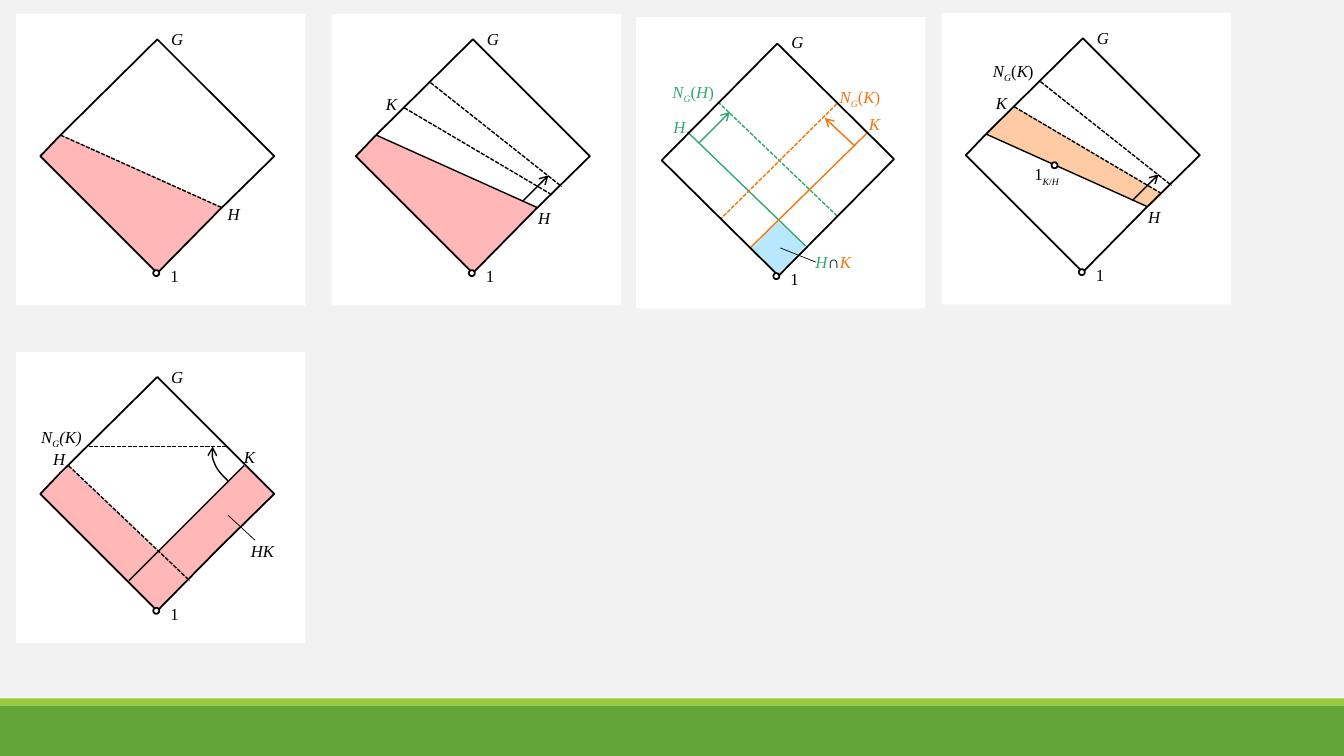
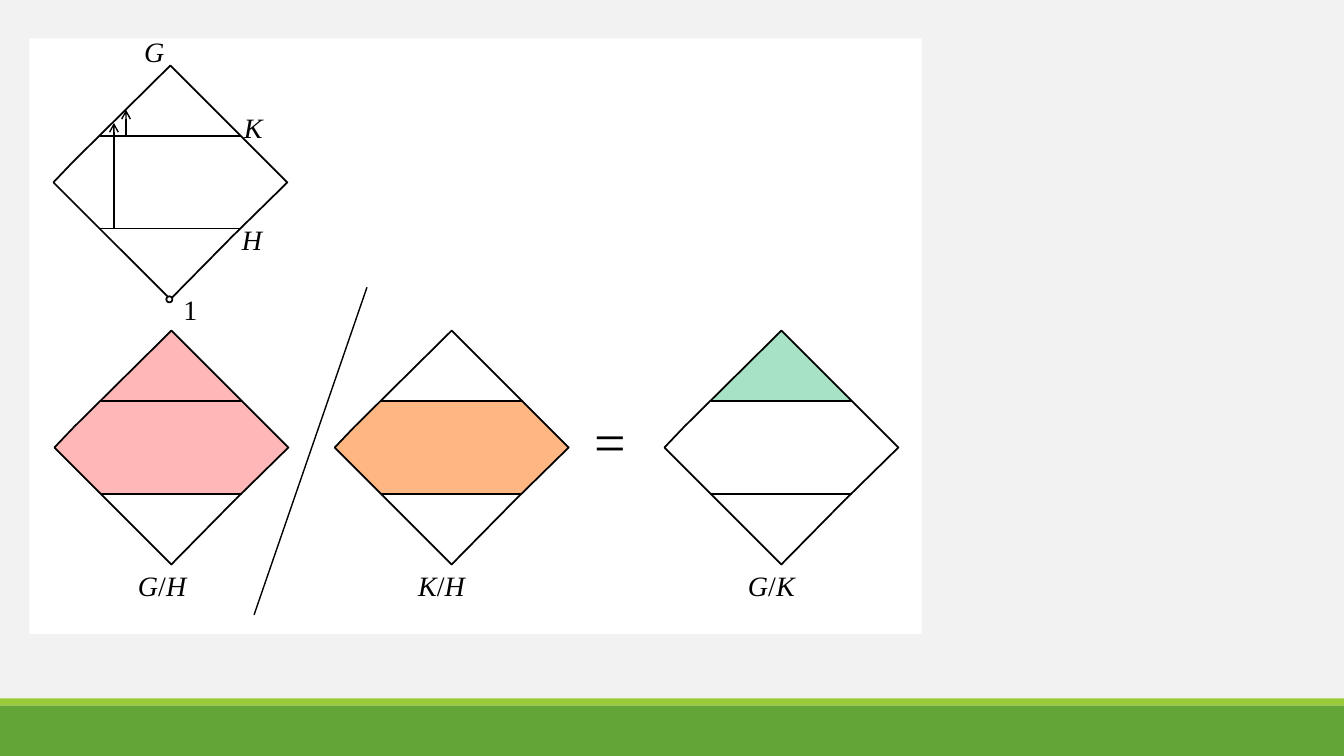
import lxml.etree
import pptx
import pptx.dml.color
import pptx.enum.dml
import pptx.enum.shapes
import pptx.enum.text
import pptx.oxml.ns
import pptx.util

BLACK, WHITE, BACKGROUND = "000000", "FFFFFF", "F2F2F2"
BAND, BAND_EDGE = "63A537", "99CB38"
GREEN, ORANGE = "37A76F", "F37711"
PINK, PEACH, APRICOT, SKY, MINT = "FFB7B7", "FECBA4", "FEB782", "B9E7FD", "A8E2C5"
FONT = "Times New Roman"

RADIUS = 1.16
TOP, RIGHT, BOTTOM, LEFT = (0, -RADIUS), (RADIUS, 0), (0, RADIUS), (-RADIUS, 0)
SPLIT_LEFT, SPLIT_RIGHT = (-0.96, -0.21), (0.64, 0.51)
LEVEL, HALF = 0.46, 0.7
UPPER_LEFT, UPPER_RIGHT = (-HALF, -LEVEL), (HALF, -LEVEL)
LOWER_LEFT, LOWER_RIGHT = (-HALF, LEVEL), (HALF, LEVEL)


def length(inches):
    """Turn inches into a length."""
    return pptx.util.Cm(inches * 2.54)


def paint(target, color):
    """Give a fill or line fill a solid colour, or none."""
    if color is None:
        target.background()
    else:
        target.solid()
        target.fore_color.rgb = pptx.dml.color.RGBColor.from_string(color)


def bezier(start, first, second, end, steps=8):
    """Return points along a cubic curve, without its start."""
    points = []
    for step in range(1, steps + 1):
        t = step / steps
        weights = ((1 - t) ** 3, 3 * t * (1 - t) ** 2, 3 * t * t * (1 - t), t ** 3)
        points.append(tuple(
            sum(weight * point[axis] for weight, point in zip(weights, (start, first, second, end)))
            for axis in (0, 1)))
    return points


class Sketch:
    """Draws lattice diagrams, measured from a movable centre."""

    def __init__(self):
        """Start the deck and set up its master."""
        self.deck = pptx.Presentation()
        self.deck.slide_width, self.deck.slide_height = length(13.33), length(7.5)
        paint(self.deck.slide_master.background.fill, BACKGROUND)
        self.new_page()
        self.master_band(7, 0.5, BAND, 20)
        self.master_band(6.93, 0.07, BAND_EDGE, 21)

    def new_page(self):
        """Add a blank page."""
        self.page = self.deck.slides.add_slide(self.deck.slide_layouts[6])
        self.move(0, 0)

    def move(self, x, y):
        """Set the centre of the next elements."""
        self.x, self.y = x, y

    def at(self, x, y):
        """Return the page position of a point near the centre."""
        return length(self.x + x), length(self.y + y)

    def master_band(self, top, height, color, number):
        """Put a footer band on the master."""
        band = self.block(0, top, 13.33, height, color)
        band.element.nvSpPr.cNvPr.set("id", str(number))
        self.deck.slide_master.shapes.element.insert(2, band.element)

    def stroke(self, shape, color, width, dashed=False, arrow=False):
        """Style an outline."""
        paint(shape.line.fill, color)
        if color is None:
            return
        shape.line.width = pptx.util.Pt(width)
        if dashed:
            shape.line.dash_style = pptx.enum.dml.MSO_LINE.SQUARE_DOT
        if arrow:
            outline = shape.element.spPr.find(pptx.oxml.ns.qn("a:ln"))
            lxml.etree.SubElement(outline, pptx.oxml.ns.qn("a:tailEnd"), type="arrow")

    def block(self, x, y, width, height, fill=None, line=None, kind="RECTANGLE"):
        """Add a preset shape."""
        shape = self.page.shapes.add_shape(
            getattr(pptx.enum.shapes.MSO_SHAPE, kind), *self.at(x, y), length(width), length(height))
        shape.shadow.inherit = False
        paint(shape.fill, fill)
        self.stroke(shape, line, 1.25)
        return shape

    def dot(self, x, y):
        """Add a small ring."""
        self.block(x, y, 0.06, 0.06, WHITE, BLACK, "OVAL")

    def outline(self, points, fill=None, line=None, width=1.25, close=False, arrow=False):
        """Add a freeform through the points."""
        places = [self.at(*point) for point in points]
        builder = self.page.shapes.build_freeform(*places[0])
        builder.add_line_segments(places[1:], close=close)
        shape = builder.convert_to_shape()
        shape.shadow.inherit = False
        paint(shape.fill, fill)
        self.stroke(shape, line, width, arrow=arrow)

    def region(self, fill, *points):
        """Add a filled area without outline."""
        self.outline(points, fill, close=True)

    def line(self, start, end, color=BLACK, width=1, dashed=False, arrow=False):
        """Add a straight line."""
        connector = self.page.shapes.add_connector(
            pptx.enum.shapes.MSO_CONNECTOR.STRAIGHT, *self.at(*start), *self.at(*end))
        self.stroke(connector, color, width, dashed, arrow)
        lxml.etree.SubElement(connector.element.spPr, pptx.oxml.ns.qn("a:effectLst"))

    def label(self, pieces, x, y, width=0.34, size=12, colors=(BLACK,)):
        """Add text: letters are italic, a leading _ marks a subscript."""
        box = self.page.shapes.add_textbox(
            *self.at(x, y), length(width), length(0.1 + size / 60))
        box.text_frame.word_wrap = False
        box.text_frame.auto_size = pptx.enum.text.MSO_AUTO_SIZE.SHAPE_TO_FIT_TEXT
        para = box.text_frame.paragraphs[0]
        for index, piece in enumerate(pieces):
            span = para.add_run()
            span.text = piece.lstrip("_")
            span.font.name = FONT
            span.font.size = pptx.util.Pt(size)
            span.font.italic = any(letter.isalpha() for letter in piece)
            paint(span.font.fill, colors[index % len(colors)])
            if piece.startswith("_"):
                span.font._element.set("baseline", "-25000")

    def diamond(self, fill=None):
        """Add a group diamond in a lower and an upper part."""
        self.outline([SPLIT_RIGHT, BOTTOM, LEFT, SPLIT_LEFT], fill, BLACK)
        self.outline([SPLIT_LEFT, TOP, RIGHT, SPLIT_RIGHT], None, BLACK)

    def panel(self, x, y):
        """Centre on a new white panel."""
        self.move(x, y)
        self.block(-1.4, -1.41, 2.87, 2.89, WHITE)

    def ends(self):
        """Mark the whole group and the trivial subgroup."""
        self.label(["1"], 0.03, 1.04, 0.29)
        self.dot(-0.04, 1.13)
        self.label(["G"], 0.04, -1.31)

    def levels(self):
        """Add the two level lines of a diamond."""
        self.line(LOWER_LEFT, LOWER_RIGHT)
        self.line(UPPER_LEFT, UPPER_RIGHT)


def normalizer(name):
    """Return the label pieces of a normalizer in G."""
    return ["N", "_G", "(", name, ")"]


def subgroup(sketch):
    """Draw a group with one subgroup."""
    sketch.panel(1.56, 1.55)
    sketch.diamond(PINK)
    sketch.line(SPLIT_LEFT, SPLIT_RIGHT, dashed=True)
    sketch.ends()
    sketch.label(["H"], 0.6, 0.42)


def chain(sketch, x, y, fill, quotient):
    """Draw H below K below its normalizer."""
    sketch.panel(x, y)
    if quotient:
        sketch.region(PEACH, (-0.67, -0.48), (-0.95, -0.21), (0.66, 0.51), (0.79, 0.39))
    sketch.diamond(fill)
    sketch.line(SPLIT_LEFT, SPLIT_RIGHT)
    sketch.ends()
    sketch.label(["H"], 0.55, 0.46)
    sketch.line((-0.42, -0.73), (0.88, 0.3), dashed=True)
    sketch.line((0.49, 0.45), (0.75, 0.19), arrow=True)
    sketch.line((0.78, 0.38), (-0.68, -0.48), dashed=True)
    sketch.label(["K"], -0.96, -0.67)
    if quotient:
        sketch.label(normalizer("K"), -0.99, -0.99, 0.67)
        sketch.label(["1", "_K", "_/", "_H"], -0.58, 0.04, 0.53)
        sketch.dot(-0.31, 0.07)


def intersection(sketch):
    """Draw two subgroups and what they share."""
    sketch.panel(7.71, 1.58)
    sketch.region(SKY, (0.01, 0.62), (-0.27, 0.89), (0, 1.15), (0.28, 0.86))
    sketch.line((-0.89, -0.27), (0.28, 0.86), GREEN)
    sketch.line((-0.59, -0.57), (0.59, 0.56), GREEN, dashed=True)
    sketch.line((0.9, -0.27), (-0.27, 0.88), ORANGE)
    sketch.line((0.59, -0.55), (-0.56, 0.59), ORANGE, dashed=True)
    sketch.block(-0.81, -0.81, 1.63, 1.63, line=BLACK).rotation = 44.7
    sketch.line((-0.78, -0.16), (-0.47, -0.47), GREEN, arrow=True)
    sketch.line((0.77, -0.13), (0.47, -0.41), ORANGE, arrow=True)
    sketch.ends()
    sketch.label(["H"], -1.13, -0.47, colors=[GREEN])
    sketch.label(["K"], 0.81, -0.5, colors=[ORANGE])
    sketch.label(normalizer("K"), 0.52, -0.77, 0.67, colors=[ORANGE])
    sketch.label(normalizer("H"), -1.14, -0.82, 0.67, colors=[GREEN])
    sketch.label(["H", "∩", "K"], 0.28, 0.87, 0.56, colors=[GREEN, BLACK, ORANGE])
    sketch.line((0.03, 0.88), (0.38, 1.02), width=0.5)


def product(sketch):
    """Draw the product of two subgroups."""
    sketch.panel(1.56, 4.9)
    sketch.region(PINK, (-0.88, -0.27), LEFT, BOTTOM, RIGHT, (0.88, -0.29), (0.01, 0.57))
    sketch.diamond()
    sketch.ends()
    sketch.line((-0.88, -0.28), (0.32, 0.86), dashed=True)
    sketch.line((-0.28, 0.86), (0.86, -0.28))
    sketch.line((-0.68, -0.47), (0.69, -0.47), dashed=True)
    start, middle, end = (0.7, -0.13), (0.57, -0.3), (0.55, -0.47)
    curve = [start] + bezier(start, (0.65, -0.18), (0.59, -0.24), middle)
    curve += bezier(middle, (0.54, -0.36), (0.54, -0.41), end)
    sketch.outline(curve, line=BLACK, width=1, arrow=True)
    sketch.label(["N", "_G", "(K)"], -1.25, -0.72, 0.68)
    sketch.label(["H"], -1.13, -0.5)
    sketch.label(["K"], 0.76, -0.52)
    sketch.line((0.7, 0.21), (0.97, 0.46), width=0.5)
    sketch.label(["HK"], 0.83, 0.42, 0.46)


def quotients(sketch):
    """Draw the quotient of quotients."""
    sketch.block(0.29, 0.38, 8.85, 5.91, WHITE)
    sketch.move(1.69, 1.81)
    sketch.diamond()
    sketch.dot(-0.04, 1.13)
    sketch.levels()
    sketch.line((-0.56, LEVEL), (-0.56, -0.59), arrow=True)
    sketch.line((-0.44, -LEVEL), (-0.44, -0.72), arrow=True)
    for name, x, y, width in (("1", 0.03, 1.04, 0.34), ("G", -0.36, -1.52, 0.42),
                              ("H", 0.61, 0.35, 0.41), ("K", 0.63, -0.76, 0.42)):
        sketch.label([name], x, y, width, 20)
    lower = [LEFT, LOWER_LEFT, LOWER_RIGHT, RIGHT]
    for x, name, fill, area in (
            (1.7, "G/H", PINK, [TOP] + lower),
            (4.48, "K/H", APRICOT, [UPPER_RIGHT, UPPER_LEFT] + lower),
            (7.75, "G/K", MINT, [TOP, UPPER_LEFT, UPPER_RIGHT])):
        sketch.move(x, 4.44)
        sketch.region(fill, *area)
        sketch.diamond()
        sketch.levels()
        sketch.label(name, -0.43, 1.15, 0.77, 20)
    sketch.move(0, 0)
    sketch.line((3.64, 2.85), (2.52, 6.1))
    sketch.label(["="], 5.8, 3.98, 0.64, 40)


sketch = Sketch()
subgroup(sketch)
chain(sketch, 4.69, 1.55, PINK, False)
intersection(sketch)
chain(sketch, 10.74, 1.54, None, True)
product(sketch)
sketch.new_page()
quotients(sketch)
sketch.deck.save("out.pptx")
